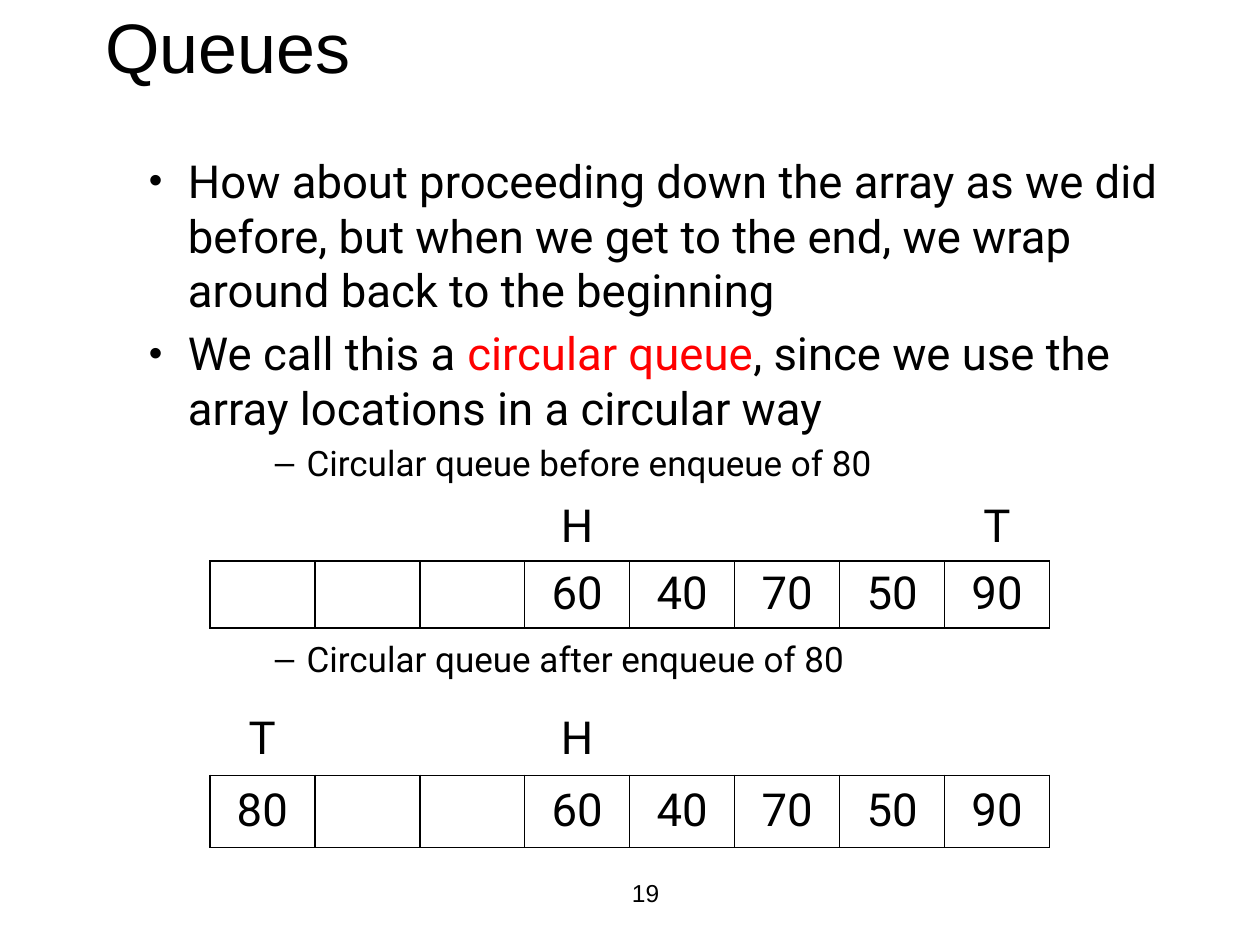
from lxml import etree
from pptx import Presentation
from pptx.dml.color import RGBColor
from pptx.enum.text import MSO_ANCHOR, MSO_AUTO_SIZE, PP_ALIGN
from pptx.oxml.ns import qn
from pptx.util import Cm, Pt

CENTER, LEFT = PP_ALIGN.CENTER, PP_ALIGN.LEFT
MIDDLE = MSO_ANCHOR.MIDDLE
NO_FIT = MSO_AUTO_SIZE.NONE
COLORS = {"text": "000000", "accent": "FF0000"}
HEAD_FONT, BODY_FONT = "Arial", "Roboto"
PLAIN_TABLE = "{2D5ABB26-0587-4C30-8999-92F81FD0307C}"
COLUMNS = 8

POINTS = [
    ("•", 26, 5, ["How about proceeding down the array as we did before, "
                  "but when we get to the end, we wrap around back to the beginning"]),
    ("•", 26, 5, ["We call this a ", "circular queue",
                  ", since we use the array locations in a circular way"]),
    ("–", 20, 4, ["Circular queue before enqueue of 80"]),
    ("–", 20, 88, ["Circular queue after enqueue of 80"]),
]
INDENTS = {"•": (2.06, -0.79, 85), "–": (4.45, -0.64, 100)}
ITEMS = {3: "60", 4: "40", 5: "70", 6: "50", 7: "90"}


def style(r, size, font=BODY_FONT, color="text"):
    r.font.size = Pt(size)
    r.font.name = font
    r.font.color.rgb = RGBColor.from_string(COLORS[color])


def add_bullet(p, char):
    margin, indent, percent = INDENTS[char]
    pPr = p._p.get_or_add_pPr()
    pPr.set("marL", str(Cm(margin)))
    pPr.set("indent", str(Cm(indent)))
    color = etree.SubElement(pPr, qn("a:buClr"))
    etree.SubElement(color, qn("a:srgbClr"), val=COLORS["text"])
    etree.SubElement(pPr, qn("a:buSzPct"), val=str(percent * 1000))
    etree.SubElement(pPr, qn("a:buFont"), typeface=HEAD_FONT)
    etree.SubElement(pPr, qn("a:buChar"), char=char)


def set_title(s, text, x, y, w, h):
    sp = s.shapes.title
    sp.left, sp.top, sp.width, sp.height = Cm(x), Cm(y), Cm(w), Cm(h)
    tf = sp.text_frame
    tf.text = text
    tf.auto_size = NO_FIT
    tf.vertical_anchor = MIDDLE
    tf.margin_left = Cm(0.64)
    p = tf.paragraphs[0]
    p.alignment = LEFT
    p.line_spacing = 0.7
    style(p.runs[0], 40, HEAD_FONT)


def add_points(s, points, x, y, w, h):
    tf = s.shapes.add_textbox(Cm(x), Cm(y), Cm(w), Cm(h)).text_frame
    tf.word_wrap = True
    for i, (char, size, space, parts) in enumerate(points):
        p = tf.add_paragraph() if i else tf.paragraphs[0]
        p.space_before = Pt(space)
        add_bullet(p, char)
        for j, part in enumerate(parts):
            r = p.add_run()
            r.text = part
            style(r, size, color="accent" if j == 1 else "text")


def add_borders(cell):
    tcPr = cell._tc.get_or_add_tcPr()
    for side in ("lnL", "lnR", "lnT", "lnB"):
        ln = etree.SubElement(tcPr, qn(f"a:{side}"), w=str(Pt(1)))
        fill = etree.SubElement(ln, qn("a:solidFill"))
        etree.SubElement(fill, qn("a:srgbClr"), val=COLORS["text"])


def add_queue(s, markers, items, x, y, w, h):
    table = s.shapes.add_table(2, COLUMNS, Cm(x), Cm(y), Cm(w), Cm(h)).table
    table.first_row = table.horz_banding = False
    table._tbl.tblPr.find(qn("a:tableStyleId")).text = PLAIN_TABLE
    for col in table.columns:
        col.width = Cm(w / COLUMNS)
    for i, values in enumerate((markers, items)):
        table.rows[i].height = Cm(h / 2)
        for j in range(COLUMNS):
            cell = table.cell(i, j)
            if i == 1:
                add_borders(cell)
            cell.fill.background()
            cell.vertical_anchor = MIDDLE
            if j in values:
                cell.text = values[j]
                p = cell.text_frame.paragraphs[0]
                p.alignment = CENTER
                style(p.runs[0], 26)


def add_page_number(s, text, x, y, w, h):
    tf = s.shapes.add_textbox(Cm(x), Cm(y), Cm(w), Cm(h)).text_frame
    tf.text = text
    tf.word_wrap = True
    tf.vertical_anchor = MIDDLE
    p = tf.paragraphs[0]
    p.alignment = CENTER
    style(p.runs[0], 14, HEAD_FONT)


def main():
    prs = Presentation()
    prs.slide_width, prs.slide_height = Cm(25.4), Cm(19.05)
    s = prs.slides.add_slide(prs.slide_layouts[5])
    set_title(s, "Queues", 1.48, 0.7, 22.44, 0.85)
    add_points(s, POINTS, 1.48, 2.96, 22.44, 13.97)
    add_queue(s, {3: "H", 7: "T"}, ITEMS, 4.23, 9.95, 16.93, 2.71)
    add_queue(s, {0: "T", 3: "H"}, {0: "80", **ITEMS}, 4.23, 14.18, 16.93, 2.9)
    add_page_number(s, "19", 10.37, 17.36, 5.29, 1.27)
    prs.save("out.pptx")


if __name__ == "__main__":
    main()
